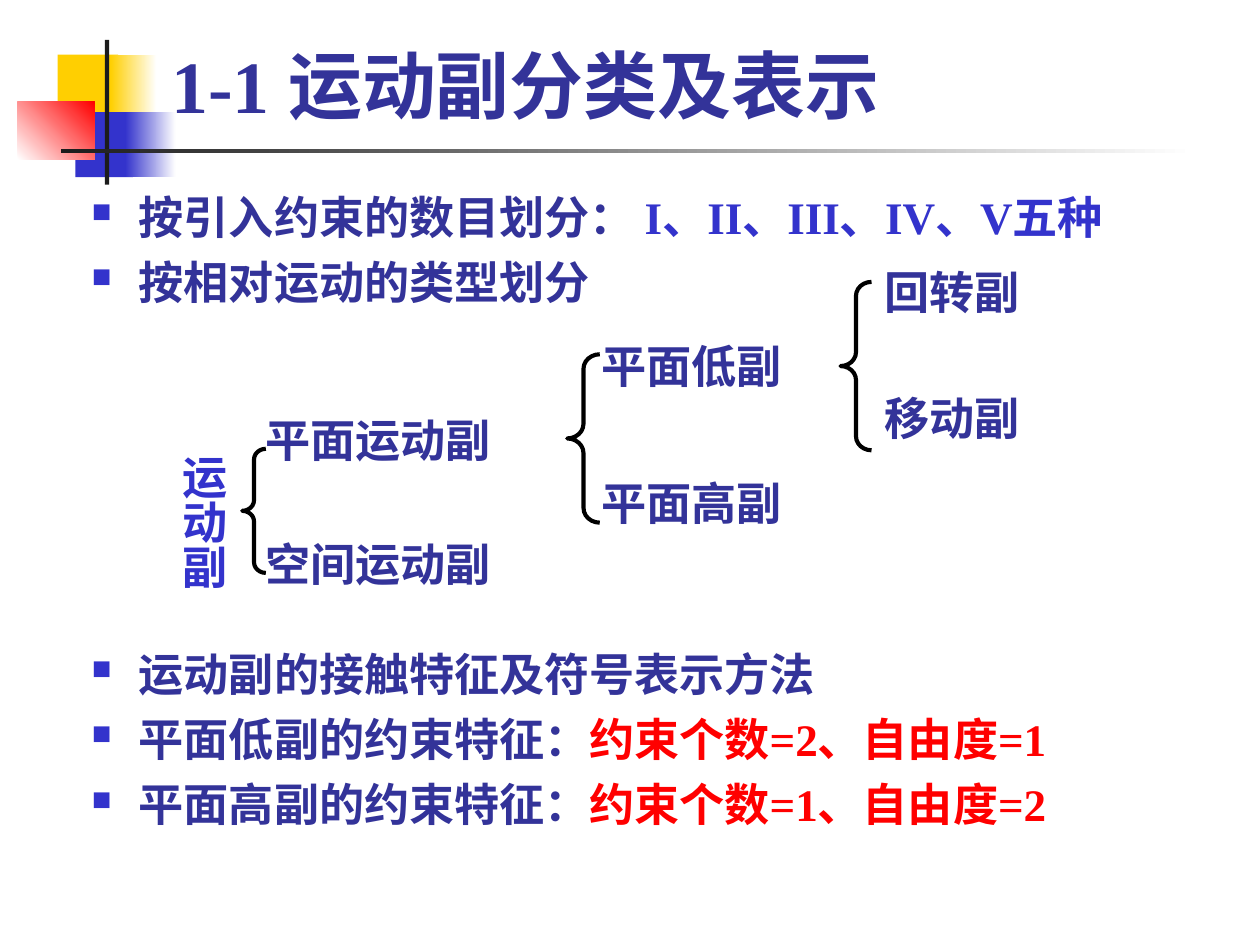
from lxml import etree
from pptx import Presentation
from pptx import util as u
from pptx.dml.color import RGBColor
from pptx.enum import shapes, text
from pptx.oxml import ns

SCALE = 9144  # EMU in one px, 100 px to the inch
FONT = "Times New Roman"
NAVY = RGBColor(0x33, 0x33, 0x99)
BLUE = RGBColor(0x33, 0x33, 0xCC)
RED = RGBColor(0xFF, 0x00, 0x00)
GOLD = RGBColor(0xFF, 0xCF, 0x01)
DARK = RGBColor(0x1C, 0x1C, 0x1C)
BLACK = RGBColor(0x00, 0x00, 0x00)
WHITE = RGBColor(0xFF, 0xFF, 0xFF)

# box, start colour, end colour (None for a plain fill), angle
DECOR = [
    ((39, 37, 41, 44), GOLD, None, 0),
    ((75, 37, 31, 44), GOLD, WHITE, 0),
    ((51, 76, 39, 44), BLUE, None, 0),
    ((85, 76, 34, 44), BLUE, WHITE, 0),
    ((12, 69, 52, 39), WHITE, RED, 45),
    ((71, 27, 3, 98), DARK, None, 0),
    ((41, 101, 768, 3), DARK, WHITE, 0),
]

# space before in points, runs; the large space leaves room for the tree
ITEMS = [
    (0, [("按引入约束的数目划分： ", NAVY), ("I、II、III、IV、V五种", BLUE)]),
    (5.5, [("按相对运动的类型划分", NAVY)]),
    (164.5, [("运动副的接触特征及符号表示方法", NAVY)]),
    (5.5, [("平面低副的约束特征：", NAVY), ("约束个数=2、自由度=1", RED)]),
    (5.5, [("平面高副的约束特征：", NAVY), ("约束个数=1、自由度=2", RED)]),
]

LABELS = [
    ("平面运动副", (171, 276, 213, 43)),
    ("空间运动副", (171, 360, 213, 43)),
    ("平面低副", (398, 226, 178, 43)),
    ("平面高副", (398, 319, 178, 43)),
    ("回转副", (590, 176, 135, 43)),
    ("移动副", (590, 261, 135, 43)),
]

BRACES = [(164, 304, 16, 84), (384, 240, 22, 114), (569, 191, 21, 114)]


def px(*nums):
    return [u.Emu(n * SCALE) for n in nums]


def add_run(para, words, color, size=22):
    run = para.add_run()
    run.text = words
    font = run.font
    font.name, font.size, font.bold = FONT, u.Pt(size), True
    font.color.rgb = color


def set_frame(frame, anchor, side=9, edge=4):
    frame.word_wrap = True
    frame.auto_size = text.MSO_AUTO_SIZE.NONE
    frame.vertical_anchor = anchor
    frame.margin_left, frame.margin_right = px(side, side)
    frame.margin_top, frame.margin_bottom = px(edge, edge)


def add_box(slide, box, anchor=text.MSO_ANCHOR.TOP, **margins):
    frame = slide.shapes.add_textbox(*px(*box)).text_frame
    set_frame(frame, anchor, **margins)
    return frame


def add_block(slide, box, start, end, angle):
    block = slide.shapes.add_shape(shapes.MSO_SHAPE.RECTANGLE, *px(*box))
    block.shadow.inherit = False
    block.line.fill.background()
    if end is None:
        block.fill.solid()
        block.fill.fore_color.rgb = start
        return
    block.fill.gradient()
    block.fill.gradient_angle = angle
    for stop, color in zip(block.fill.gradient_stops, (start, end)):
        stop.color.rgb = color


def add_brace(slide, box):
    brace = slide.shapes.add_shape(shapes.MSO_SHAPE.LEFT_BRACE, *px(*box))
    brace.shadow.inherit = False
    brace.adjustments[0] = 0.45
    brace.fill.background()
    brace.line.color.rgb = BLACK
    brace.line.width = u.Pt(2)


def set_bullet(para):
    props = para._p.get_or_add_pPr()
    hang = 32 * SCALE
    props.set("marL", str(hang))
    props.set("indent", str(-hang))
    color = etree.SubElement(props, ns.qn("a:buClr"))
    etree.SubElement(color, ns.qn("a:srgbClr"), val=str(BLUE))
    etree.SubElement(props, ns.qn("a:buSzPct"), val="60000")
    etree.SubElement(props, ns.qn("a:buChar"), char="■")


def add_title(slide):
    title = slide.shapes.title
    title.left, title.top, title.width, title.height = px(107, 22, 727, 69)
    set_frame(title.text_frame, text.MSO_ANCHOR.BOTTOM)
    para = title.text_frame.paragraphs[0]
    para.alignment = text.PP_ALIGN.LEFT
    add_run(para, "1-1 运动副分类及表示", NAVY, 36)
    # Bring the title in front of the decoration
    title.element.getparent().append(title.element)


def add_list(slide):
    frame = add_box(slide, (53, 124, 779, 478))
    for num, (space, runs) in enumerate(ITEMS):
        para = frame.add_paragraph() if num else frame.paragraphs[0]
        set_bullet(para)
        para.space_before = u.Pt(space)
        for words, color in runs:
            add_run(para, words, color)


def add_tree(slide):
    root = add_box(slide, (106, 299, 54, 116), side=4, edge=9)
    root._txBody.bodyPr.set("vert", "eaVert")
    add_run(root.paragraphs[0], "运动副", BLUE)
    for words, box in LABELS:
        frame = add_box(slide, box, text.MSO_ANCHOR.MIDDLE)
        add_run(frame.paragraphs[0], words, NAVY)
    for box in BRACES:
        add_brace(slide, box)


def main():
    deck = Presentation()
    deck.slide_width, deck.slide_height = px(853, 640)
    slide = deck.slides.add_slide(deck.slide_layouts.get_by_name("Title Only"))
    for block in DECOR:
        add_block(slide, *block)
    add_title(slide)
    add_list(slide)
    add_tree(slide)
    deck.save("out.pptx")


if __name__ == "__main__":
    main()
